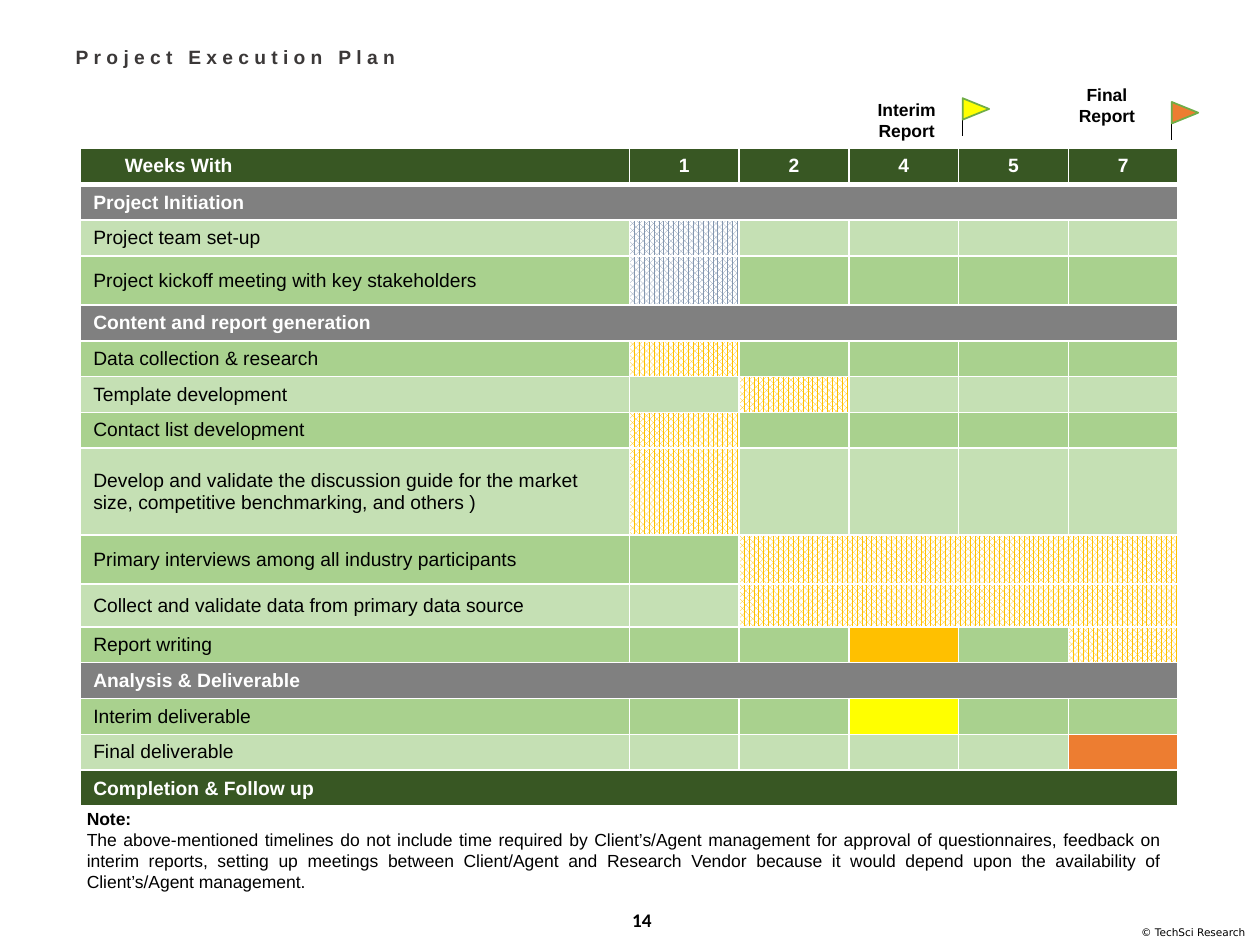
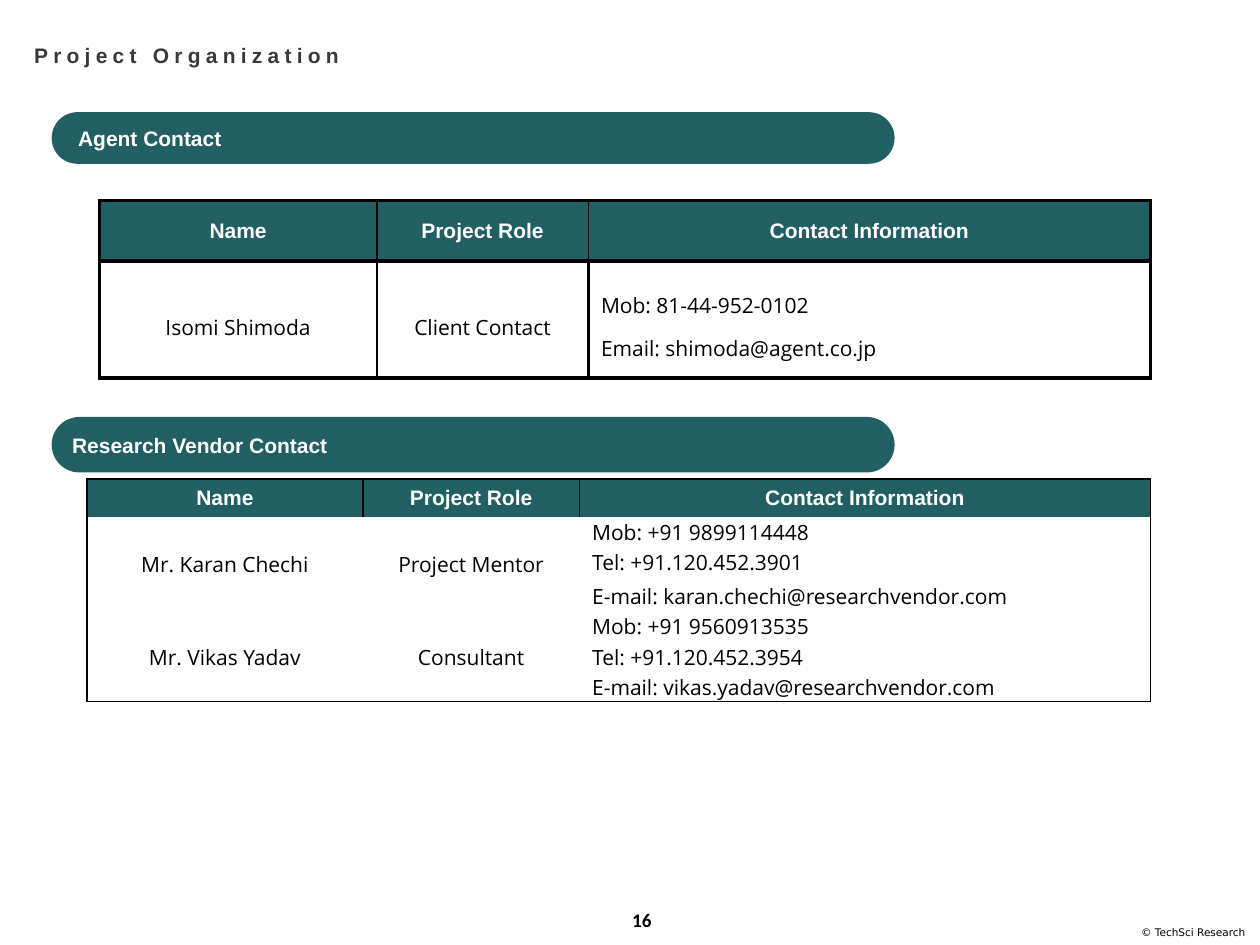
from collections import namedtuple

from lxml import etree
from pptx import Presentation
from pptx import util as u
from pptx.dml.color import RGBColor
from pptx.enum import dml, shapes, text
from pptx.oxml.ns import qn

# Shared style: the slide is a grid of 100 columns by 75 rows
COLS, ROWS = 100, 75
COLORS = {
    "ink": "000000", "paper": "FFFFFF", "title": "3B3838",
    "forest": "385723", "grey": "808080", "pale": "C5E0B4", "mid": "A9D18E",
    "slate": "8497B0", "gold": "FFC000", "yellow": "FFFF00",
    "orange": "ED7D31", "leaf": "70AD47", "teal": "215F63",
}
NO_STYLE = "{2D5ABB26-0587-4C30-8999-92F81FD0307C}"
LEFT, CENTER, JUSTIFY = (text.PP_ALIGN.LEFT, text.PP_ALIGN.CENTER,
                         text.PP_ALIGN.JUSTIFY)
MIDDLE, TOP, BOTTOM = (text.MSO_ANCHOR.MIDDLE, text.MSO_ANCHOR.TOP,
                       text.MSO_ANCHOR.BOTTOM)
Box = namedtuple("Box", "x y w h")

# Work plan: label, row height, bars as (first week column, last, colour, hatched)
WEEKS = ["1", "2", "4", "5", "7"]
PLAN = [
    ("Project Initiation", 2.7, None),
    ("Project team set-up", 2.7, [(1, 1, "slate", True)]),
    ("Project kickoff meeting with key stakeholders", 3.9,
     [(1, 1, "slate", True)]),
    ("Content and report generation", 2.7, None),
    ("Data collection & research", 2.7, [(1, 1, "gold", True)]),
    ("Template development", 2.7, [(2, 2, "gold", True)]),
    ("Contact list development", 2.7, [(1, 1, "gold", True)]),
    ("Develop and validate the discussion guide for the market size, "
     "competitive benchmarking, and others )", 6.9, [(1, 1, "gold", True)]),
    ("Primary interviews among all industry participants", 3.9,
     [(2, 5, "gold", True)]),
    ("Collect and validate data from primary data source", 3.4,
     [(2, 5, "gold", True)]),
    ("Report writing", 2.7, [(3, 3, "gold", False), (5, 5, "gold", True)]),
    ("Analysis & Deliverable", 2.7, None),
    ("Interim deliverable", 2.7, [(3, 3, "yellow", False)]),
    ("Final deliverable", 2.7, [(5, 5, "orange", False)]),
    ("Completion & Follow up", 2.7, None),
]
NOTE = ("The above-mentioned timelines do not include time required by "
        "Client’s/Agent management for approval of questionnaires, feedback on "
        "interim reports, setting up meetings between Client/Agent and Research "
        "Vendor because it would depend upon the availability of "
        "Client’s/Agent management.")

# Contacts: name, role, lines of contact information
HEADINGS = ["Name", "Project Role", "Contact Information"]
CLIENT = ("Isomi Shimoda", "Client Contact",
          ["Mob: 81-44-952-0102", "Email: shimoda@agent.co.jp"])
TEAM = [
    ("Mr. Karan Chechi", "Project Mentor",
     ["Mob: +91 9899114448", "Tel: +91.120.452.3901",
      "E-mail: karan.chechi@researchvendor.com"]),
    ("Mr. Vikas Yadav", "Consultant",
     ["Mob: +91 9560913535", "Tel: +91.120.452.3954",
      "E-mail: vikas.yadav@researchvendor.com"]),
]


def grid(*cells):
    return [u.Inches(c / 10) for c in cells]


def rgb(name):
    return RGBColor.from_string(COLORS[name])


def write(tf, words, size=11, color="ink", bold=False, font="Arial",
          align=LEFT, spacing=None, tracking=None):
    """Fill the frame's first free paragraph, or add one."""
    tf.word_wrap = True
    p = tf.paragraphs[0]
    if p.runs:
        p = tf.add_paragraph()
    p.alignment = align
    if spacing:
        p.line_spacing = spacing
    r = p.add_run()
    r.text = words
    r.font.size, r.font.bold, r.font.name = u.Pt(size), bold, font
    r.font.color.rgb = rgb(color)
    if tracking:
        r._r.get_or_add_rPr().set("spc", str(tracking * 100))


def textbox(s, box, words, anchor=MIDDLE, **fmt):
    tf = s.shapes.add_textbox(*grid(*box)).text_frame
    tf.vertical_anchor = anchor
    write(tf, words, **fmt)
    return tf


def paint(cell, color, hatched=False):
    if hatched:
        cell.fill.patterned()
        cell.fill.pattern = dml.MSO_PATTERN.PERCENT_75
        cell.fill.fore_color.rgb = rgb(color)
        cell.fill.back_color.rgb = rgb("paper")
    else:
        cell.fill.solid()
        cell.fill.fore_color.rgb = rgb(color)


def border(cell, color, **widths):
    """Set sides L, R, T, B in points; lines come before the fill."""
    tc_pr = cell._tc.get_or_add_tcPr()
    sides = [side for side in "LRTB" if widths.get(side)]
    for i, side in enumerate(sides):
        ln = etree.Element(qn("a:ln" + side), w=str(u.Pt(widths[side])))
        fill = etree.SubElement(ln, qn("a:solidFill"))
        etree.SubElement(fill, qn("a:srgbClr"), val=COLORS[color])
        tc_pr.insert(i, ln)


def add_table(s, box, widths, heights):
    frame = s.shapes.add_table(len(heights), len(widths), *grid(*box))
    t = frame.table
    t.first_row = t.horz_banding = False
    t._tbl.tblPr.find(qn("a:tableStyleId")).text = NO_STYLE
    for column, w in zip(t.columns, grid(*widths)):
        column.width = w
    for row, h in zip(t.rows, grid(*heights)):
        row.height = h
    # Small end marks keep empty cells from stretching their rows
    for cell in t.iter_cells():
        end = cell.text_frame.paragraphs[0]._p.get_or_add_endParaRPr()
        end.set("sz", "1100")
    return t


def new_slide(prs, title, number, box, size):
    s = prs.slides.add_slide(prs.slide_layouts[5])
    sp = s.shapes.title
    sp.left, sp.top, sp.width, sp.height = grid(*box)
    tf = sp.text_frame
    tf.auto_size = text.MSO_AUTO_SIZE.NONE
    tf.vertical_anchor = MIDDLE
    write(tf, title, size=size, color="title", bold=True, spacing=0.9,
          tracking=3)
    # Footer
    textbox(s, Box(48.5, 71, 4.9, 4), number, font="Calibri", bold=True,
            align=CENTER)
    textbox(s, Box(89.4, 73.2, 10.6, 1.5), "© TechSci Research", size=6,
            font="DejaVu Sans", align=CENTER)
    return s


# Work plan slide
def plan_table(s, box):
    week = 0.1 * box.w
    heights = [2.7] + [h for _, h, _ in PLAN]
    t = add_table(s, box, [box.w - 5 * week] + [week] * 5, heights)
    for c, label in enumerate(["Weeks With"] + WEEKS):
        cell = t.cell(0, c)
        paint(cell, "forest")
        write(cell.text_frame, label, color="paper", bold=True,
              align=CENTER if c else LEFT)
    t.cell(0, 0).margin_left = u.Inches(0.35)

    for r, (label, _, bars) in enumerate(PLAN, 1):
        section = bars is None
        last = r == len(PLAN)
        shade = "mid" if r % 2 else "pale"
        if section:
            shade = "forest" if last else "grey"
        for c in range(6):
            paint(t.cell(r, c), shade)
        cell = t.cell(r, 0)
        cell.vertical_anchor = BOTTOM if last else MIDDLE
        write(cell.text_frame, label, color="paper" if section else "ink",
              bold=section)
        if section:
            cell.merge(t.cell(r, 5))
        for first, end, color, hatched in bars or []:
            paint(t.cell(r, first), color, hatched)
            if end > first:
                t.cell(r, first).merge(t.cell(r, end))

    for r in range(len(heights)):
        for c in range(6):
            border(t.cell(r, c), "paper", L=1, R=1, T=3 if r == 1 else 1,
                   B=1 if r else 3)


def milestone(s, label, label_box, x, y, color):
    textbox(s, label_box, label, size=10, bold=True, align=CENTER)
    g = s.shapes.add_group_shape()
    pole = g.shapes.add_connector(shapes.MSO_CONNECTOR.STRAIGHT,
                                  *grid(x, y + 0.8, x, y + 3))
    pole.line.color.rgb = rgb("ink")
    pole.line.width = u.Pt(0.5)
    etree.SubElement(pole._element.spPr, qn("a:effectLst"))
    # The pennant is a triangle turned a quarter to the right
    pennant = g.shapes.add_shape(shapes.MSO_SHAPE.ISOSCELES_TRIANGLE,
                                 *grid(x + 0.2, y - 0.2, 1.7, 2.1))
    pennant.rotation = 90
    pennant.shadow.inherit = False
    paint(pennant, color)
    pennant.line.color.rgb = rgb("leaf")
    pennant.line.width = u.Pt(1)


def plan_slide(prs):
    s = new_slide(prs, "Project Execution Plan", "14",
                  Box(5, 2, 82.7, 5.3), 11)
    plan_table(s, Box(6.4, 11.8, 87.1, 50.5))
    milestone(s, "Interim Report", Box(67.7, 6.9, 8.5, 5.3), 76.4, 7.8,
              "yellow")
    milestone(s, "Final Report", Box(83.6, 5.7, 8.5, 5.3), 93, 8.1, "orange")
    note = textbox(s, Box(5.9, 63.6, 87.1, 7.7), "Note:", anchor=TOP, size=10,
                   bold=True, align=JUSTIFY)
    write(note, NOTE, size=10, align=JUSTIFY)


# Contacts slide
def pill(s, box, label, inset):
    sp = s.shapes.add_shape(shapes.MSO_SHAPE.ROUNDED_RECTANGLE, *grid(*box))
    sp.adjustments[0] = 0.5
    sp.shadow.inherit = False
    paint(sp, "teal")
    sp.line.fill.background()
    sp.text_frame.margin_left = u.Inches(inset)
    sp.text_frame.vertical_anchor = MIDDLE
    write(sp.text_frame, label, size=12, color="paper", bold=True)


def contact_table(s, box, widths, heights):
    """Table with its heading row; body cells are left blank."""
    t = add_table(s, box, widths, heights)
    for cell in t.iter_cells():
        paint(cell, "paper")
        cell.vertical_anchor = MIDDLE
        cell.margin_left = cell.margin_right = cell.margin_top = u.Inches(0.01)
        cell.margin_bottom = 0
    for c, heading in enumerate(HEADINGS):
        paint(t.cell(0, c), "teal")
        write(t.cell(0, c).text_frame, heading, size=12, color="paper",
              bold=True, align=CENTER)
    return t


def detail(cell, words, column, spacing=None):
    if column == 2:
        cell.margin_left = u.Inches(0.1)
    write(cell.text_frame, words, size=12, font="Open Sans",
          align=LEFT if column == 2 else CENTER, spacing=spacing)


def client_table(s, box):
    t = contact_table(s, box, [22, 16.8, box.w - 38.8], [4.8, box.h - 4.8])
    name, role, lines = CLIENT
    for c, entries in enumerate([[name], [role], lines]):
        for entry in entries:
            detail(t.cell(1, c), entry, c, spacing=1.5)
    for r in range(2):
        inner = 2.25 if r else 1
        for c, (left, right) in enumerate([(2.25, 1), (1, inner),
                                           (inner, 2.25)]):
            border(t.cell(r, c), "ink", L=left, R=right, T=2.25, B=2.25)


def team_table(s, box):
    t = contact_table(s, box, [21.9, 17.2, box.w - 39.1],
                      [3] + [2.4, 2.4, 2.7] + [2.4] * 3)
    for i, (name, role, lines) in enumerate(TEAM):
        top = 1 + 3 * i
        for c, words in enumerate([name, role]):
            t.cell(top, c).merge(t.cell(top + 2, c))
            detail(t.cell(top, c), words, c)
        for r, line in enumerate(lines, top):
            detail(t.cell(r, 2), line, 2)
        t.cell(top + 2, 2).vertical_anchor = BOTTOM
    for r in range(7):
        for c in range(3):
            head = r == 0
            border(t.cell(r, c), "ink", L=head or c == 0, R=head or c == 2,
                   T=head, B=r == 6 or (r == 4 and c < 2))


def contacts_slide(prs):
    s = new_slide(prs, "Project Organization", "16", Box(1.7, 2, 86, 5), 12)
    pill(s, Box(4.1, 8.9, 66.9, 4.1), "Agent Contact", 0.15)
    pill(s, Box(4.1, 33.1, 66.9, 4.4), "Research Vendor Contact", 0.1)
    team_table(s, Box(6.9, 38, 84.4, 17.3))
    client_table(s, Box(7.9, 15.9, 83.4, 14.1))


def main():
    prs = Presentation()
    prs.slide_width, prs.slide_height = grid(COLS, ROWS)
    plan_slide(prs)
    contacts_slide(prs)
    prs.save("out.pptx")


if __name__ == "__main__":
    main()
